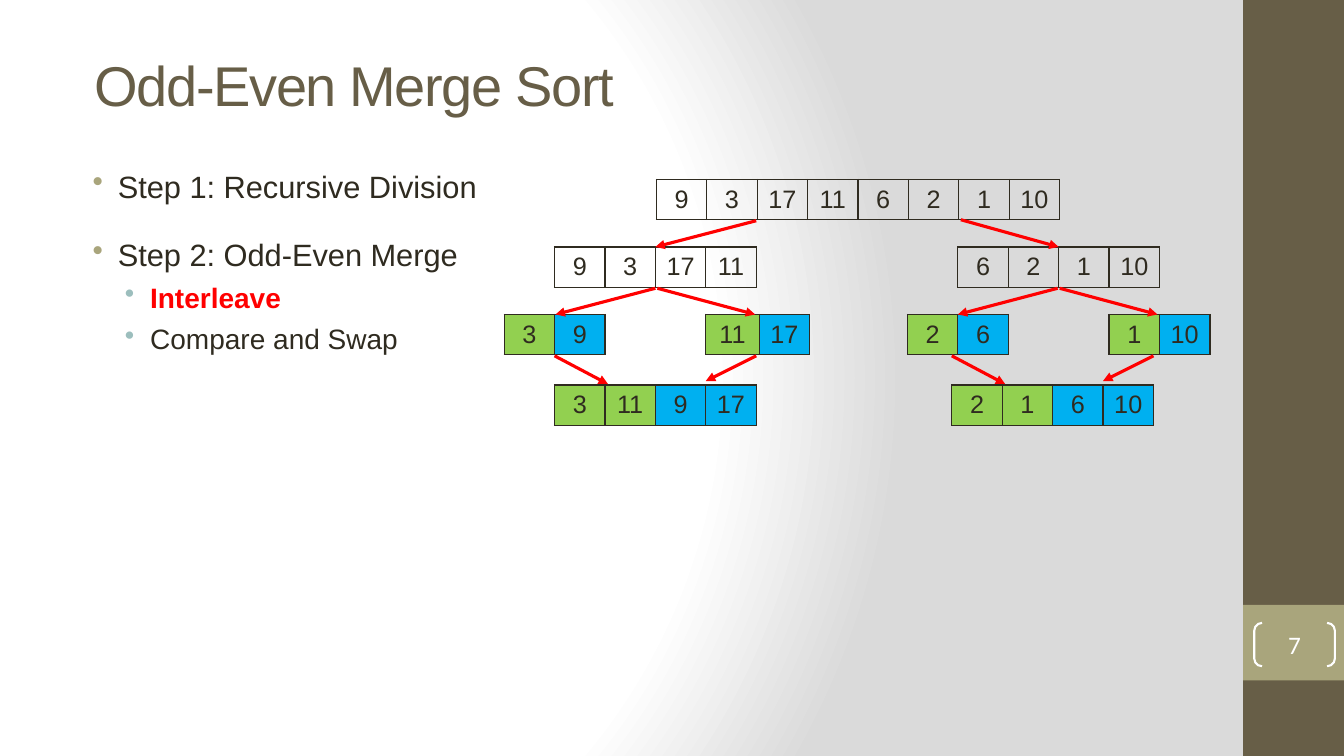
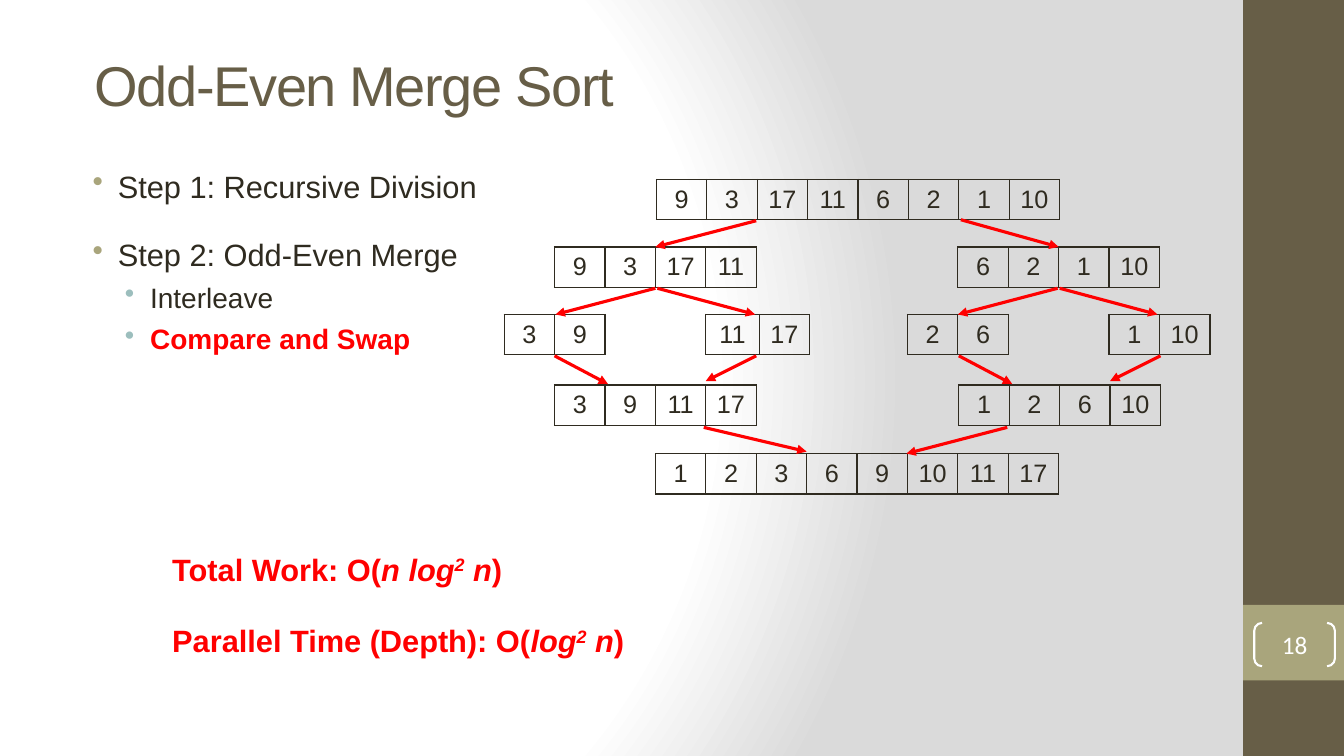
from pptx import Presentation
from pptx.dml.color import RGBColor
from pptx.enum.shapes import MSO_CONNECTOR, MSO_SHAPE
from pptx.enum.text import MSO_ANCHOR, PP_ALIGN
from pptx.oxml import parse_xml
from pptx.oxml.ns import nsdecls, qn
from pptx.util import Inches, Pt

RECT, BRACKETS = MSO_SHAPE.RECTANGLE, MSO_SHAPE.DOUBLE_BRACKET
STRAIGHT = MSO_CONNECTOR.STRAIGHT
TOP, MIDDLE = MSO_ANCHOR.TOP, MSO_ANCHOR.MIDDLE
LEFT, CENTER, JUSTIFY = PP_ALIGN.LEFT, PP_ALIGN.CENTER, PP_ALIGN.JUSTIFY

INK = RGBColor(0x2F, 0x2B, 0x20)
BROWN = RGBColor(0x67, 0x5E, 0x47)
KHAKI = RGBColor(0xA9, 0xA5, 0x7C)
TEAL = RGBColor(0x9C, 0xBE, 0xBD)
RED = RGBColor(0xFF, 0x00, 0x00)
WHITE = RGBColor(0xFF, 0xFF, 0xFF)
GREEN = RGBColor(0x92, 0xD0, 0x50)
BLUE = RGBColor(0x00, 0xB0, 0xF0)

BODY_FONT, NUMBER_FONT = "Arial", "Calibri"
CELL_WIDTH, CELL_HEIGHT = 0.5, 0.38
ROW_TOPS = (1.78, 2.45, 3.12, 3.82, 4.5)

BACKGROUND = f"""<a:gradFill {nsdecls("a")} rotWithShape="1"><a:gsLst>
<a:gs pos="0"><a:srgbClr val="FFFFFF"/></a:gs>
<a:gs pos="75000"><a:srgbClr val="FFFFFF"/></a:gs>
<a:gs pos="100000"><a:srgbClr val="DADADA"/></a:gs></a:gsLst>
<a:path path="circle"><a:fillToRect l="20000" t="50000" r="100000" b="50000"/></a:path>
</a:gradFill>"""


class SortDeck:
    """Holds the presentation, its style and the slide being built."""

    def __init__(self):
        self.prs = Presentation()
        self.prs.slide_width, self.prs.slide_height = Inches(13.33), Inches(7.5)
        master = self.prs.slide_master
        master.background.fill.solid()
        plain = master.element.find(".//" + qn("p:bgPr")).find(qn("a:solidFill"))
        plain.getparent().replace(plain, parse_xml(BACKGROUND))
        self.slide = None

    def start_slide(self, title, number):
        self.slide = self.prs.slides.add_slide(self.prs.slide_layouts[6])
        self.shape(RECT, 12.33, 0, 1, 7.5, fill=BROWN)
        self.shape(RECT, 12.33, 6, 1, 0.75, fill=KHAKI)
        heading = self.text_frame(0.84, 0.61, 10.91, 0.45, MIDDLE).paragraphs[0]
        run = self.add_run(heading, title, 40, BROWN)
        run.font._element.set("spc", "-100")
        bracket = self.shape(BRACKETS, 12.44, 6.18, 0.8, 0.43, line=WHITE)
        bracket.adjustments[0] = 0.18
        frame = bracket.text_frame
        frame.margin_left = frame.margin_right = 0
        frame.margin_top = frame.margin_bottom = 0
        frame.vertical_anchor = MIDDLE
        frame.paragraphs[0].alignment = CENTER
        self.add_run(frame.paragraphs[0], str(number), 18, WHITE, font=NUMBER_FONT)

    def shape(self, kind, left, top, width, height, fill=None, line=None):
        shape = self.slide.shapes.add_shape(
            kind, Inches(left), Inches(top), Inches(width), Inches(height))
        shape.shadow.inherit = False
        if fill is None:
            shape.fill.background()
        else:
            shape.fill.solid()
            shape.fill.fore_color.rgb = fill
        if line is None:
            shape.line.fill.background()
        else:
            shape.line.color.rgb = line
            shape.line.width = Pt(1.5)
        return shape

    def text_frame(self, left, top, width, height, anchor=TOP):
        box = self.slide.shapes.add_textbox(
            Inches(left), Inches(top), Inches(width), Inches(height))
        frame = box.text_frame
        frame.word_wrap = True
        frame.vertical_anchor = anchor
        frame.paragraphs[0].alignment = LEFT
        return frame

    def add_run(self, paragraph, text, size, color, bold=False, italic=False,
                font=BODY_FONT):
        run = paragraph.add_run()
        run.text = text
        run.font.name, run.font.size = font, Pt(size)
        run.font.color.rgb = color
        run.font.bold, run.font.italic = bold, italic
        return run

    def bullets(self, items, highlighted):
        """Items are (level, space before, text); the highlighted text is red."""
        frame = self.text_frame(0.69, 1.61, 4.28, 5.89)
        for index, (level, space, text) in enumerate(items):
            paragraph = frame.add_paragraph() if index else frame.paragraphs[0]
            paragraph.alignment = JUSTIFY
            paragraph.level = level
            paragraph.space_before = Pt(space)
            props = paragraph._p.get_or_add_pPr()
            props.set("marL", str(Inches((0.38, 0.7)[level])))
            props.set("indent", str(Inches(-0.25)))
            props.append(parse_xml(
                f'<a:buClr {nsdecls("a")}><a:srgbClr val="{(KHAKI, TEAL)[level]}"/></a:buClr>'))
            props.append(parse_xml(f'<a:buChar {nsdecls("a")} char="•"/>'))
            active = text == highlighted
            self.add_run(paragraph, text, (22, 20)[level],
                         RED if active else INK, bold=active)

    def array(self, left, top, values, halves=False, first_width=CELL_WIDTH):
        """One-row table; with halves, the left half is green and the right blue."""
        widths = [first_width] + [CELL_WIDTH] * (len(values) - 1)
        table = self.slide.shapes.add_table(
            1, len(values), Inches(left), Inches(top),
            Inches(sum(widths)), Inches(CELL_HEIGHT)).table
        table.first_row = table.horz_banding = False
        for index, (value, width) in enumerate(zip(values, widths)):
            table.columns[index].width = Inches(width)
            cell = table.cell(0, index)
            cell.vertical_anchor = MIDDLE
            paragraph = cell.text_frame.paragraphs[0]
            paragraph.alignment = CENTER
            self.add_run(paragraph, str(value), 18, INK)
            props = cell._tc.get_or_add_tcPr()
            for side in ("lnL", "lnR", "lnT", "lnB"):
                props.append(parse_xml(
                    f'<a:{side} {nsdecls("a")} w="{Pt(1)}"><a:solidFill>'
                    f'<a:srgbClr val="{INK}"/></a:solidFill></a:{side}>'))
            if halves:
                cell.fill.solid()
                cell.fill.fore_color.rgb = GREEN if index < len(values) / 2 else BLUE
            else:
                cell.fill.background()

    def arrow(self, x1, y1, x2, y2):
        line = self.slide.shapes.add_connector(
            STRAIGHT, Inches(x1), Inches(y1), Inches(x2), Inches(y2))
        line.line.color.rgb = RED
        line.line.width = Pt(2.25)
        line.line._get_or_add_ln().append(
            parse_xml(f'<a:tailEnd {nsdecls("a")} type="triangle"/>'))
        line._element.spPr.append(parse_xml(f'<a:effectLst {nsdecls("a")}/>'))

    def complexity(self, top, width, label, formula):
        """Red bound such as O(log² n); the formula is (base, exponent, rest)."""
        paragraph = self.text_frame(1.61, top, width, 0.47).paragraphs[0]
        base, exponent, rest = formula
        for text, italic in ((label + ": O(", False), (base, True),
                             (exponent, True), (rest, True), (")", False)):
            run = self.add_run(paragraph, text, 22, RED, bold=True, italic=italic)
            if text == exponent:
                run.font._element.set("baseline", "30000")


def add_sort_slide(deck, number, step, merges, halves=False):
    """Merges are (left, values) of the two merged arrays in the fourth row."""
    deck.start_slide("Odd-Even Merge Sort", number)
    deck.bullets([(0, 4.4, "Step 1: Recursive Division"),
                  (0, 22.6, "Step 2: Odd-Even Merge"),
                  (1, 5.5, "Interleave"),
                  (1, 5.5, "Compare and Swap")], step)

    whole, split, pairs, merged, _ = ROW_TOPS
    numbers = [9, 3, 17, 11, 6, 2, 1, 10]
    deck.array(6.51, whole, numbers)
    deck.array(5.5, split, numbers[:4])
    deck.array(9.5, split, numbers[4:])
    for index, left in enumerate((5, 7, 9, 11)):
        pair = sorted(numbers[2 * index:2 * index + 2])
        deck.array(left, pairs, pair, halves, 0.53 if left == 7 else CELL_WIDTH)

    deck.arrow(7.5, 2.19, 6.5, split)
    deck.arrow(9.53, 2.18, 10.5, split)
    for center in (6.51, 10.5):
        deck.arrow(center - 0.01, 2.86, center - 1, pairs)
        deck.arrow(center + 0.01, 2.86, center + 0.98, pairs)

    for left, values in merges:
        deck.array(left, merged, values, halves)
        deck.arrow(left, 3.53, left + 0.53, 3.81)
        deck.arrow(left + 2, 3.53, left + 1.5, 3.78)


def main():
    deck = SortDeck()
    add_sort_slide(deck, 7, "Interleave",
                   [(5.5, [3, 11, 9, 17]), (9.44, [2, 1, 6, 10])], halves=True)

    add_sort_slide(deck, 18, "Compare and Swap",
                   [(5.5, [3, 9, 11, 17]), (9.51, [1, 2, 6, 10])])
    deck.array(6.5, ROW_TOPS[-1], [1, 2, 3, 6, 9, 10, 11, 17])
    deck.arrow(9.99, 4.24, 8.99, 4.5)
    deck.arrow(6.98, 4.24, 8, 4.48)
    deck.complexity(5.41, 4.08, "Total Work", ("n log", "2", " n"))
    deck.complexity(6.12, 5.39, "Parallel Time (Depth)", ("log", "2", " n"))
    deck.prs.save("out.pptx")


if __name__ == "__main__":
    main()
